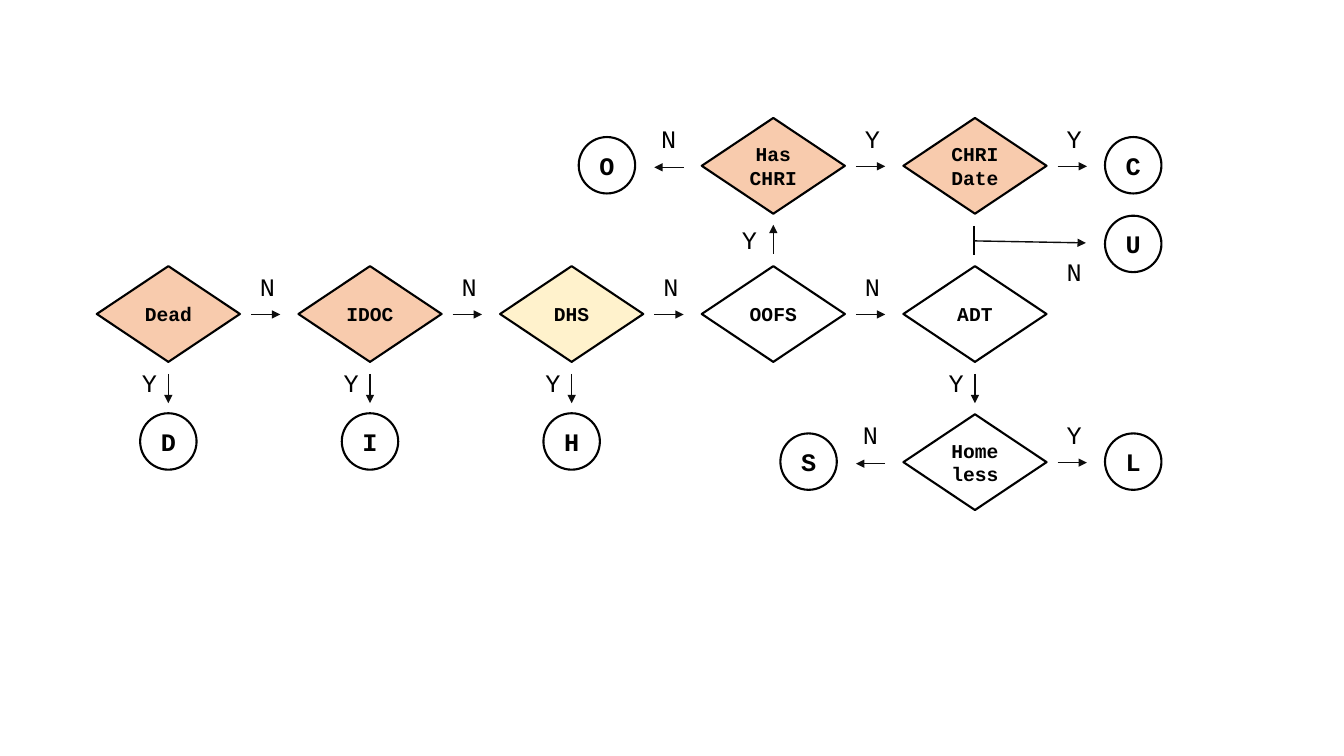
from dataclasses import dataclass
from lxml.etree import SubElement
from pptx import Presentation
from pptx.dml.color import RGBColor
from pptx.enum.shapes import MSO_CONNECTOR, MSO_SHAPE
from pptx.enum.text import MSO_ANCHOR, PP_ALIGN
from pptx.oxml.ns import qn
from pptx.util import Inches, Pt


@dataclass(frozen=True)
class Theme:
    font: str = "Courier New"
    ink: RGBColor = RGBColor(0, 0, 0)
    arrow: RGBColor = RGBColor(0x0D, 0x0D, 0x0D)
    orange: RGBColor = RGBColor(0xF8, 0xCB, 0xAD)
    yellow: RGBColor = RGBColor(0xFF, 0xF2, 0xCC)
    question_size: int = 14
    letter_size: int = 18
    outline: float = 1.5
    arrow_width: float = 1


@dataclass(frozen=True)
class Box:
    left: float
    top: float
    width: float = 1.42
    height: float = 0.95


@dataclass(frozen=True)
class Exit:
    start: tuple
    end: tuple
    label: tuple
    result: tuple


THEME = Theme()
COLUMN_STEP = 2
ROW_STEP = 1.47
CIRCLE = 0.56
EAST = Exit((1.53, 0.48), (1.82, 0.48), (1.52, 0), (2, 0.19))
WEST = Exit((-0.18, 0.49), (-0.47, 0.49), (-0.5, 0), (-1.22, 0.19))
SOUTH = Exit((0.71, 1.07), (0.71, 1.36), (0.35, 0.95), (0.43, 1.46))
NORTH = Exit((0.71, -0.12), (0.71, -0.41), (0.3, -0.46), (0, 0))


def write(shape, text, size, bold, alignment):
    frame = shape.text_frame
    frame.text = text
    for para in frame.paragraphs:
        para.alignment = alignment
        para.font.name = THEME.font
        para.font.size = Pt(size)
        para.font.bold = bold
        para.font.color.rgb = THEME.ink


def add_node(page, kind, box, text, size, fill=None):
    node = page.shapes.add_shape(kind, Inches(box.left), Inches(box.top),
                                 Inches(box.width), Inches(box.height))
    node.shadow.inherit = False
    if fill is None:
        node.fill.background()
    else:
        node.fill.solid()
        node.fill.fore_color.rgb = fill
    node.line.color.rgb = THEME.ink
    node.line.width = Pt(THEME.outline)
    node.text_frame.vertical_anchor = MSO_ANCHOR.MIDDLE
    node.text_frame.word_wrap = True
    write(node, text, size, True, PP_ALIGN.CENTER)


def add_question(page, box, text, fill=None):
    add_node(page, MSO_SHAPE.DIAMOND, box, text, THEME.question_size, fill)


def add_result(page, left, top, letter):
    add_node(page, MSO_SHAPE.OVAL, Box(left, top, CIRCLE, CIRCLE), letter, THEME.letter_size)


def add_answer(page, left, top, letter):
    answer = page.shapes.add_textbox(Inches(left), Inches(top), Inches(0.35), Inches(0.4))
    answer.text_frame.word_wrap = False
    write(answer, letter, THEME.letter_size, False, PP_ALIGN.LEFT)


def add_line(page, start, end, color=THEME.arrow, arrowhead=True):
    line = page.shapes.add_connector(MSO_CONNECTOR.STRAIGHT,
                                     *(Inches(value) for value in (*start, *end)))
    line.line.color.rgb = color
    line.line.width = Pt(THEME.arrow_width)
    properties = line._element.spPr
    if arrowhead:
        SubElement(properties.find(qn("a:ln")), qn("a:tailEnd"), type="triangle")
    SubElement(properties, qn("a:effectLst"))


def add_exit(page, box, way, answer, result=None):
    def place(offset):
        return box.left + offset[0], box.top + offset[1]

    add_line(page, place(way.start), place(way.end))
    add_answer(page, *place(way.label), answer)
    if result:
        add_result(page, *place(way.result), result)


def add_screening_row(page, box):
    steps = [("Dead", THEME.orange, SOUTH, "D"), ("IDOC", THEME.orange, SOUTH, "I"),
             ("DHS", THEME.yellow, SOUTH, "H"), ("OOFS", None, NORTH, None),
             ("ADT", None, SOUTH, None)]
    for column, (text, fill, yes_way, result) in enumerate(steps):
        step_box = Box(box.left + column * COLUMN_STEP, box.top)
        add_question(page, step_box, text, fill)
        add_exit(page, step_box, yes_way, "Y", result)
        if column < len(steps) - 1:
            add_exit(page, step_box, EAST, "N")


def add_chri_branch(page, box):
    date_box = Box(box.left + COLUMN_STEP, box.top)
    add_question(page, box, "Has\nCHRI", THEME.orange)
    add_exit(page, box, WEST, "N", "O")
    add_exit(page, box, EAST, "Y")
    add_question(page, date_box, "CHRI\nDate", THEME.orange)
    add_exit(page, date_box, EAST, "Y", "C")
    add_unknown_exit(page, date_box)


def add_unknown_exit(page, box):
    stem = box.left + 0.7
    add_line(page, (stem, box.top + 1.07), (stem, box.top + 1.36), THEME.ink, False)
    add_line(page, (stem, box.top + 1.22), (box.left + 1.81, box.top + 1.24))
    add_answer(page, box.left + 1.52, box.top + 1.32, "N")
    add_result(page, box.left + 2, box.top + 0.97, "U")


def add_homeless_branch(page, box):
    add_question(page, box, "Homeless")
    add_exit(page, box, WEST, "N", "S")
    add_exit(page, box, EAST, "Y", "L")


deck = Presentation()
deck.slide_width = Inches(13.33)
deck.slide_height = Inches(7.5)
page = deck.slides.add_slide(deck.slide_layouts[6])
row = Box(0.96, 2.64)
add_screening_row(page, row)
add_chri_branch(page, Box(row.left + 3 * COLUMN_STEP, row.top - ROW_STEP))
add_homeless_branch(page, Box(row.left + 4 * COLUMN_STEP, row.top + ROW_STEP))
deck.save("out.pptx")
